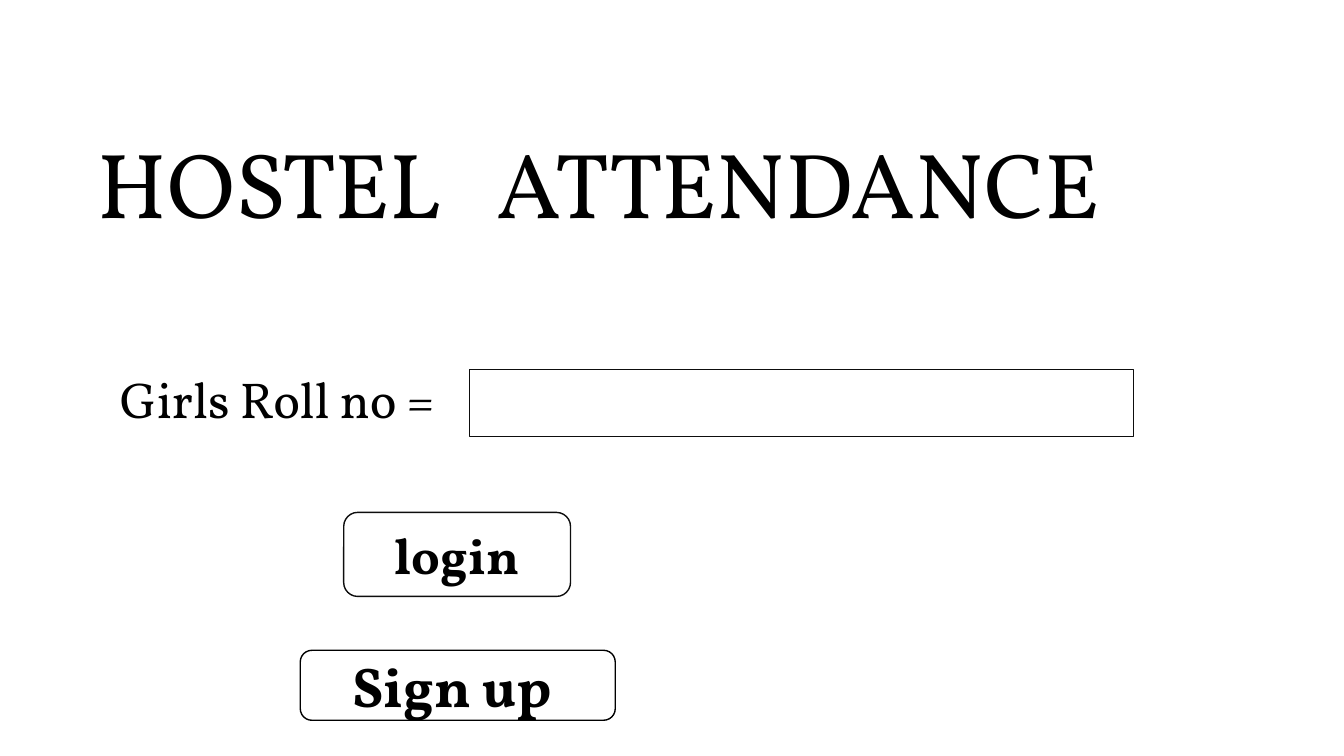
import pptx
import pptx.dml.color
import pptx.enum.shapes
import pptx.enum.text
import pptx.oxml
import pptx.oxml.ns
import pptx.util
from dataclasses import dataclass

Pt = pptx.util.Pt
Shapes = pptx.enum.shapes.MSO_SHAPE
Anchor = pptx.enum.text.MSO_ANCHOR
Align = pptx.enum.text.PP_ALIGN


@dataclass(frozen=True)
class Theme:
    font: str = "Vollkorn"
    ink: str = "000000"
    outline: str = "0D0D0D"
    paper: str = "FFFFFF"
    title: int = 66
    label: int = 36
    login: int = 36
    sign_up: int = 40


theme = Theme()


def write_text(shape, text, size, bold=False, align=Align.CENTER, anchor=Anchor.MIDDLE):
    frame = shape.text_frame
    frame.word_wrap = True
    frame.vertical_anchor = anchor
    paragraph = frame.paragraphs[0]
    paragraph.alignment = align
    run = paragraph.add_run()
    run.text = text
    run.font.name = theme.font
    run.font.size = Pt(size)
    run.font.bold = bold
    run.font.color.rgb = pptx.dml.color.RGBColor.from_string(theme.ink)
    return paragraph


def add_outlined(kind, left, top, width, height, outline):
    shape = slide.shapes.add_shape(kind, Pt(left), Pt(top), Pt(width), Pt(height))
    shape.shadow.inherit = False
    shape.fill.solid()
    shape.fill.fore_color.rgb = pptx.dml.color.RGBColor.from_string(theme.paper)
    shape.line.color.rgb = pptx.dml.color.RGBColor.from_string(outline)
    shape.line.width = Pt(1)
    return shape


presentation = pptx.Presentation()
presentation.slide_width = Pt(960)
presentation.slide_height = Pt(540)
slide = presentation.slides.add_slide(presentation.slide_layouts[6])

# Title, with a tab stop between the two words
title = slide.shapes.add_textbox(Pt(18), Pt(78), Pt(882), Pt(96))
title.text_frame.margin_left = Pt(52)
heading = write_text(title, "HOSTEL\tATTENDANCE", theme.title,
                     align=Align.LEFT, anchor=Anchor.BOTTOM)
namespace = pptx.oxml.ns.nsdecls("a")
heading._p.get_or_add_pPr().append(pptx.oxml.parse_xml(
    f'<a:tabLst {namespace}><a:tab pos="{Pt(285)}" algn="l"/></a:tabLst>'))
heading.line_spacing = 0.9

# Roll number label and entry field
label = slide.shapes.add_textbox(Pt(60), Pt(264), Pt(276), Pt(65))
write_text(label, "Girls Roll no =", theme.label, anchor=Anchor.TOP).line_spacing = 0.9
add_outlined(Shapes.RECTANGLE, 335.5, 264, 474, 48, theme.outline)

# Buttons
buttons = [
    ("login", theme.login, theme.outline, (245.5, 366, 162, 60)),
    ("Sign up ", theme.sign_up, theme.ink, (214.5, 464.5, 225, 50)),
]
for text, size, outline, place in buttons:
    button = add_outlined(Shapes.ROUNDED_RECTANGLE, *place, outline)
    write_text(button, text, size, bold=True)

presentation.save("out.pptx")
